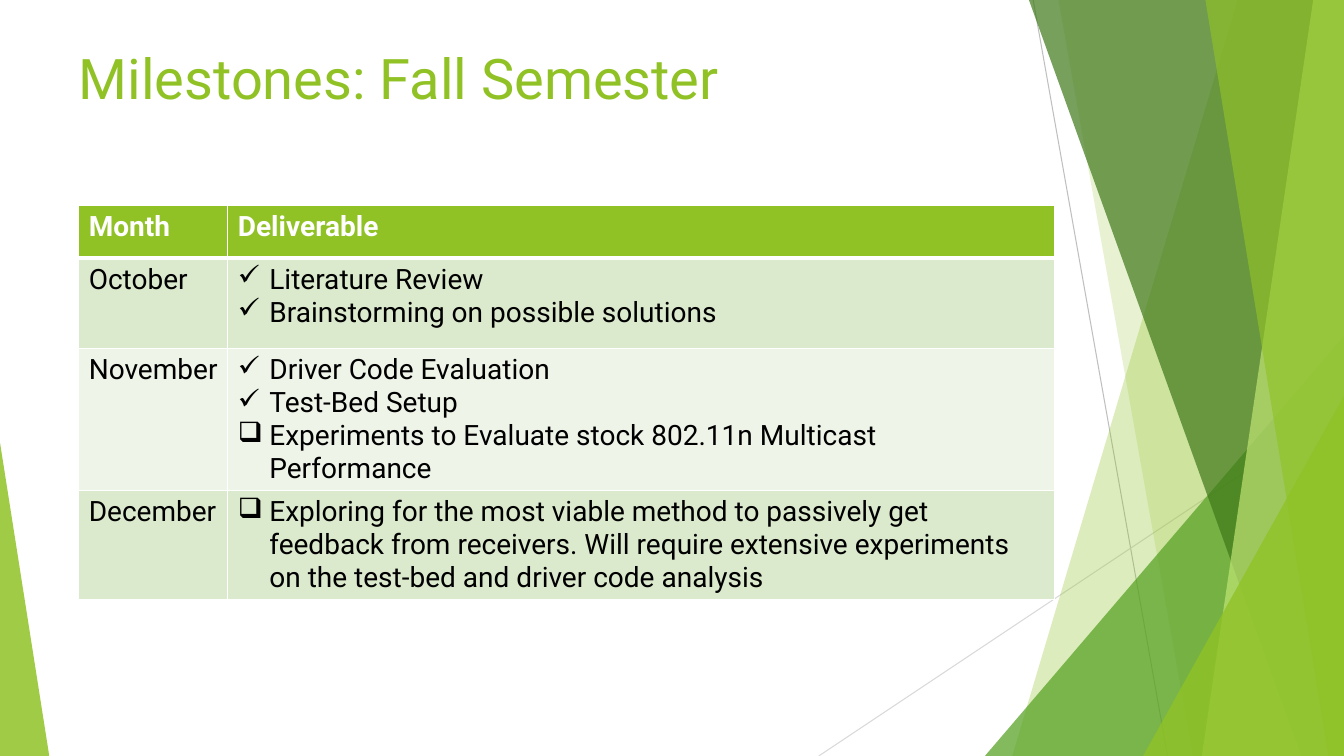
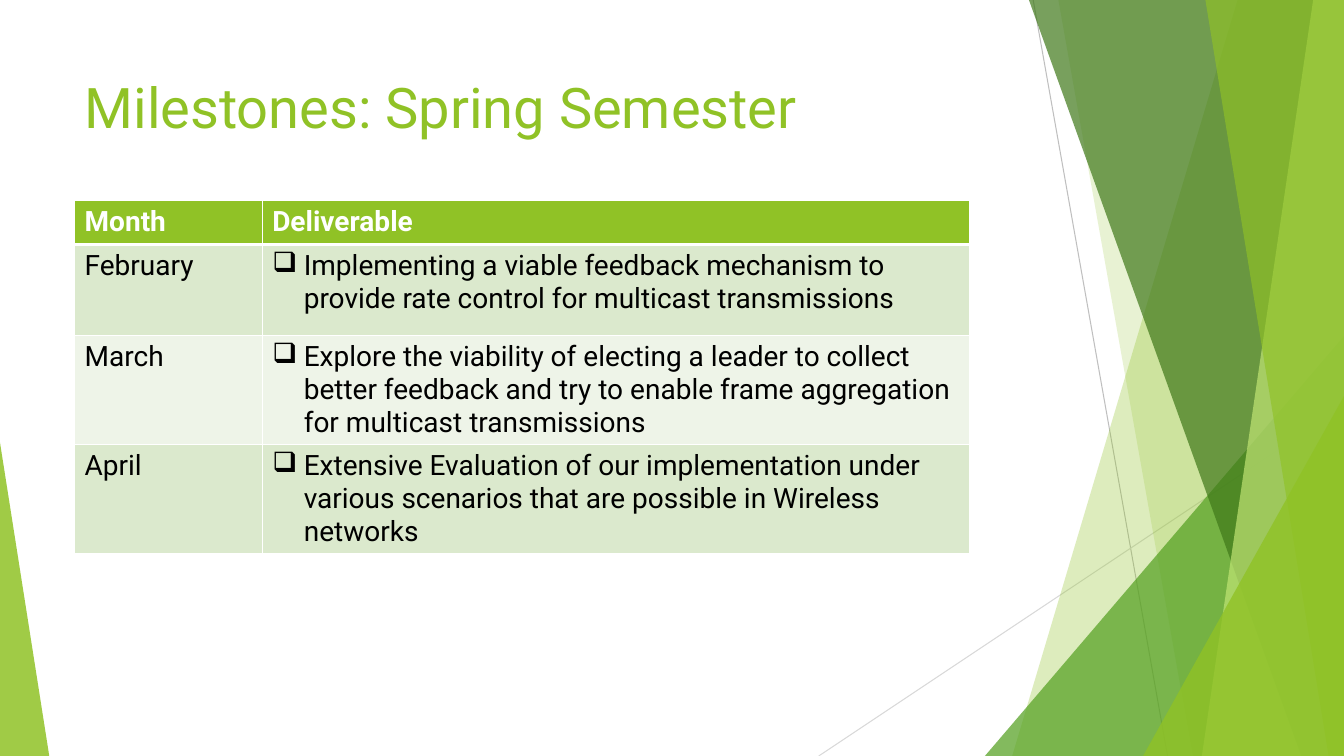
from lxml.etree import SubElement
from pptx import Presentation
from pptx.dml.color import RGBColor
from pptx.enum.shapes import MSO_CONNECTOR as Connector, MSO_SHAPE as Shape
from pptx.enum.text import MSO_ANCHOR as Anchor, MSO_AUTO_SIZE as AutoSize, PP_ALIGN as Align
from pptx.oxml.ns import qn
from pptx.util import Pt

# Shared look
WIDTH, HEIGHT = 960, 540
LIME, GREEN, FOREST, PALE_LIME = "90C226", "54A021", "3F7819", "C0E474"
WHITE, BLACK = "FFFFFF", "000000"
ROW_FILLS = ["DBE9CD", "EEF4E8"]
TITLE_FONT = {"name": "Roboto", "size": Pt(40), "bold": False}
HEADER_FONT = {"name": "Roboto", "size": Pt(20), "bold": True}
CELL_FONT = {**HEADER_FONT, "bold": False}
TITLE_SIZE = (676.8, 103.68)
ROW_HEIGHT = 64.8
BULLET_INDENT = 22.5
DONE, OPEN = "✓", "❑"

# Hairlines: start x, start y, end x, end y, colour
HAIRLINES = [
    (738, 0, 834, HEIGHT, "BFBFBF"),
    (WIDTH, 290, 584.8, HEIGHT, "D9D9D9"),
]
# Facets from back to front: bands reach the right edge from (top x, bottom x),
# triangles fill (left, top, width) down to the bottom, with the tip at 0 or 1
FACETS = [
    ("band", (884, 723), LIME, 30),
    ("band", (756, 852), LIME, 20),
    ("triangle", (703.5, 240, 256.5, 1), GREEN, 72),
    ("band", (735, 929.5), FOREST, 70),
    ("band", (938, 858.5), PALE_LIME, 70),
    ("band", (861, 949), LIME, 65),
    ("triangle", (816.5, 283, 143.5, 1), LIME, 80),
    ("triangle", (0, 316, 35.2, 0), LIME, 85),
]

SLIDES = [
    {
        "title": "Milestones: Fall Semester",
        "title_at": (49, 27.4),
        "table_box": (56.2, 147, 697),
        "month_width": 106.5,
        "header_height": 37.4,
        "months": [
            ("October", [(DONE, "Literature Review"),
                         (DONE, "Brainstorming on possible solutions")]),
            ("November", [(DONE, "Driver Code Evaluation"),
                          (DONE, "Test-Bed Setup"),
                          (OPEN, "Experiments to Evaluate stock 802.11n Multicast Performance")]),
            ("December", [(OPEN, "Exploring for the most viable method to passively get feedback "
                                 "from receivers. Will require extensive experiments on the "
                                 "test-bed and driver code analysis")]),
        ],
    },
    {
        "title": "Milestones: Spring Semester",
        "title_at": (53.3, 48.2),
        "table_box": (53.3, 143.5, 639.6),
        "month_width": 134,
        "header_height": 31.2,
        "months": [
            ("February", [(OPEN, "Implementing a viable feedback mechanism to provide rate "
                                 "control for multicast transmissions")]),
            ("March", [(OPEN, "Explore the viability of electing a leader to collect better "
                              "feedback and try to enable frame aggregation for multicast "
                              "transmissions")]),
            ("April", [(OPEN, "Extensive Evaluation of our implementation under various "
                              "scenarios that are possible in Wireless networks")]),
        ],
    },
]


def color(hex_string):
    return RGBColor.from_string(hex_string)


def write(paragraph, text, font_values, hex_string):
    run = paragraph.add_run()
    run.text = text
    for name, value in font_values.items():
        setattr(run.font, name, value)
    run.font.color.rgb = color(hex_string)


# Background decoration
def add_hairline(slide, x1, y1, x2, y2, hex_string):
    line = slide.shapes.add_connector(Connector.STRAIGHT, Pt(x1), Pt(y1), Pt(x2), Pt(y2))
    line.line.color.rgb = color(hex_string)
    line.line.width = Pt(0.75)
    SubElement(line.element.spPr, qn("a:effectLst"))
    return line


def add_facet(slide, kind, geometry, hex_string, opacity):
    if kind == "band":
        top_x, bottom_x = geometry
        builder = slide.shapes.build_freeform(Pt(top_x), 0)
        builder.add_line_segments([(Pt(WIDTH), 0), (Pt(WIDTH), Pt(HEIGHT)),
                                   (Pt(bottom_x), Pt(HEIGHT))], close=True)
        shape = builder.convert_to_shape()
    else:
        left, top, width, tip = geometry
        shape = slide.shapes.add_shape(Shape.ISOSCELES_TRIANGLE, Pt(left), Pt(top),
                                       Pt(width), Pt(HEIGHT - top))
        shape.adjustments[0] = tip
    shape.shadow.inherit = False
    shape.fill.solid()
    shape.fill.fore_color.rgb = color(hex_string)
    fill_color = shape.element.xpath("./p:spPr/a:solidFill/a:srgbClr")[0]
    SubElement(fill_color, qn("a:alpha"), val=str(opacity * 1000))
    shape.line.fill.background()
    return shape


def decorate_layout(slide):
    """Draw the decoration on a slide, then hand it to the slide's layout."""
    shapes = [add_hairline(slide, *hairline) for hairline in HAIRLINES]
    shapes += [add_facet(slide, *facet) for facet in FACETS]
    tree = slide.slide_layout.shapes.element
    for number, shape in enumerate(shapes):
        shape.element.xpath(".//p:cNvPr")[0].set("id", str(100 + number))
        tree.insert(2 + number, shape.element)


# Title
def place_title(slide, text, left, top):
    title = slide.shapes.title
    width, height = TITLE_SIZE
    box = {"left": left, "top": top, "width": width, "height": height}
    for name, value in box.items():
        setattr(title, name, Pt(value))
    frame = title.text_frame
    frame_values = {"vertical_anchor": Anchor.TOP, "word_wrap": True, "auto_size": AutoSize.NONE}
    for name, value in frame_values.items():
        setattr(frame, name, value)
    paragraph = frame.paragraphs[0]
    paragraph.alignment = Align.LEFT
    write(paragraph, text, TITLE_FONT, LIME)


# Table
def style_cell(cell, hex_string, top=1, bottom=1):
    properties = cell._tc.get_or_add_tcPr()
    for side, width in {"L": 1, "R": 1, "T": top, "B": bottom}.items():
        border = SubElement(properties, qn(f"a:ln{side}"), w=str(Pt(width)))
        SubElement(SubElement(border, qn("a:solidFill")), qn("a:srgbClr"), val=WHITE)
    cell.fill.solid()
    cell.fill.fore_color.rgb = color(hex_string)


def write_bullets(cell, items):
    frame = cell.text_frame
    for index, (mark, text) in enumerate(items):
        paragraph = frame.add_paragraph() if index else frame.paragraphs[0]
        properties = paragraph._p.get_or_add_pPr()
        properties.set("marL", str(Pt(BULLET_INDENT)))
        properties.set("indent", str(-Pt(BULLET_INDENT)))
        SubElement(properties, qn("a:buChar"), char=mark)
        write(paragraph, text, CELL_FONT, BLACK)


def place_table(slide, box, month_width, header_height, months):
    left, top, width = box
    height = header_height + ROW_HEIGHT * len(months)
    table = slide.shapes.add_table(len(months) + 1, 2, Pt(left), Pt(top),
                                   Pt(width), Pt(height)).table
    for column, column_width in zip(table.columns, (month_width, width - month_width)):
        column.width = Pt(column_width)
    for index, row in enumerate(table.rows):
        row.height = Pt(ROW_HEIGHT if index else header_height)
    for cell, text in zip(table.rows[0].cells, ("Month", "Deliverable")):
        style_cell(cell, LIME, bottom=3)
        write(cell.text_frame.paragraphs[0], text, HEADER_FONT, WHITE)
    for index, (month, deliverables) in enumerate(months):
        month_cell, deliverable_cell = table.rows[index + 1].cells
        for cell in (month_cell, deliverable_cell):
            style_cell(cell, ROW_FILLS[index % 2], top=1 if index else 3)
        write(month_cell.text_frame.paragraphs[0], month, CELL_FONT, BLACK)
        write_bullets(deliverable_cell, deliverables)


def add_milestone_slide(presentation, layout, content):
    slide = presentation.slides.add_slide(layout)
    place_title(slide, content["title"], *content["title_at"])
    place_table(slide, content["table_box"], content["month_width"],
                content["header_height"], content["months"])
    return slide


def main():
    presentation = Presentation()
    presentation.slide_width, presentation.slide_height = Pt(WIDTH), Pt(HEIGHT)
    layout = presentation.slide_layouts[5]
    slides = [add_milestone_slide(presentation, layout, content) for content in SLIDES]
    decorate_layout(slides[0])
    presentation.save("out.pptx")


if __name__ == "__main__":
    main()
